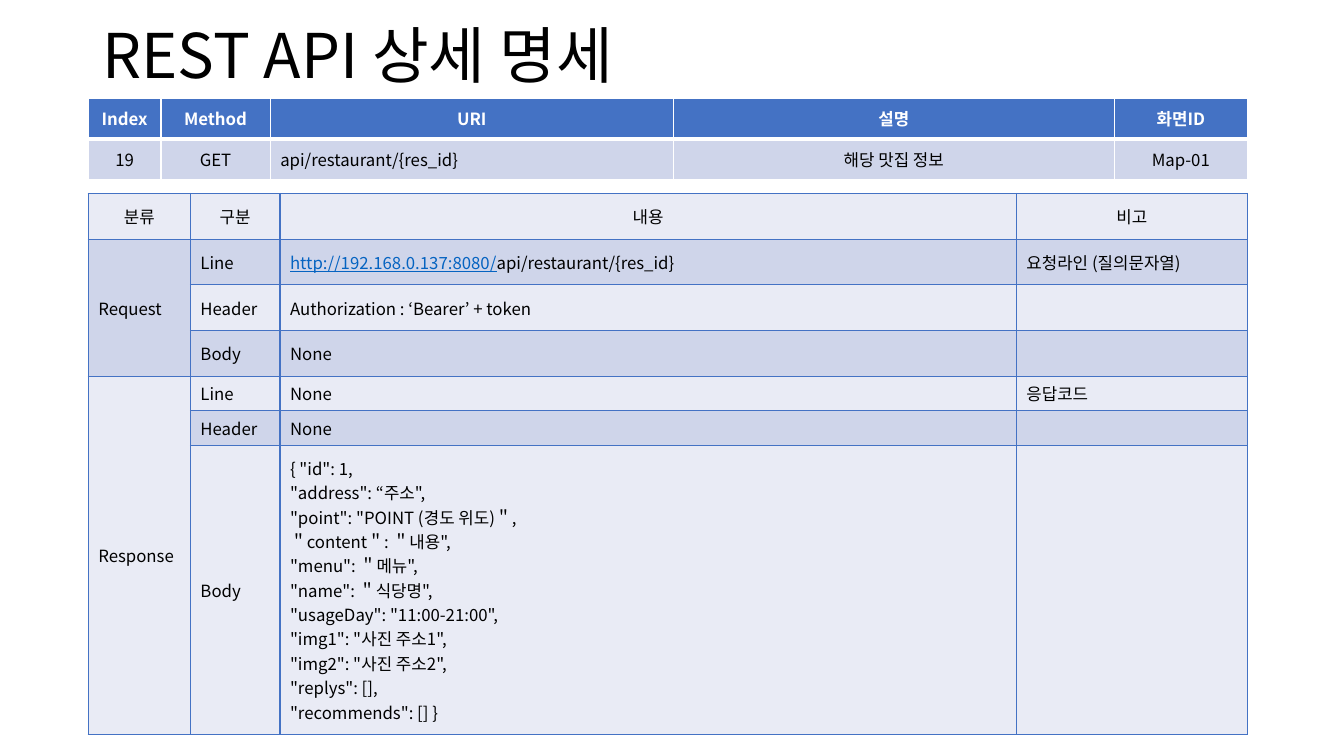
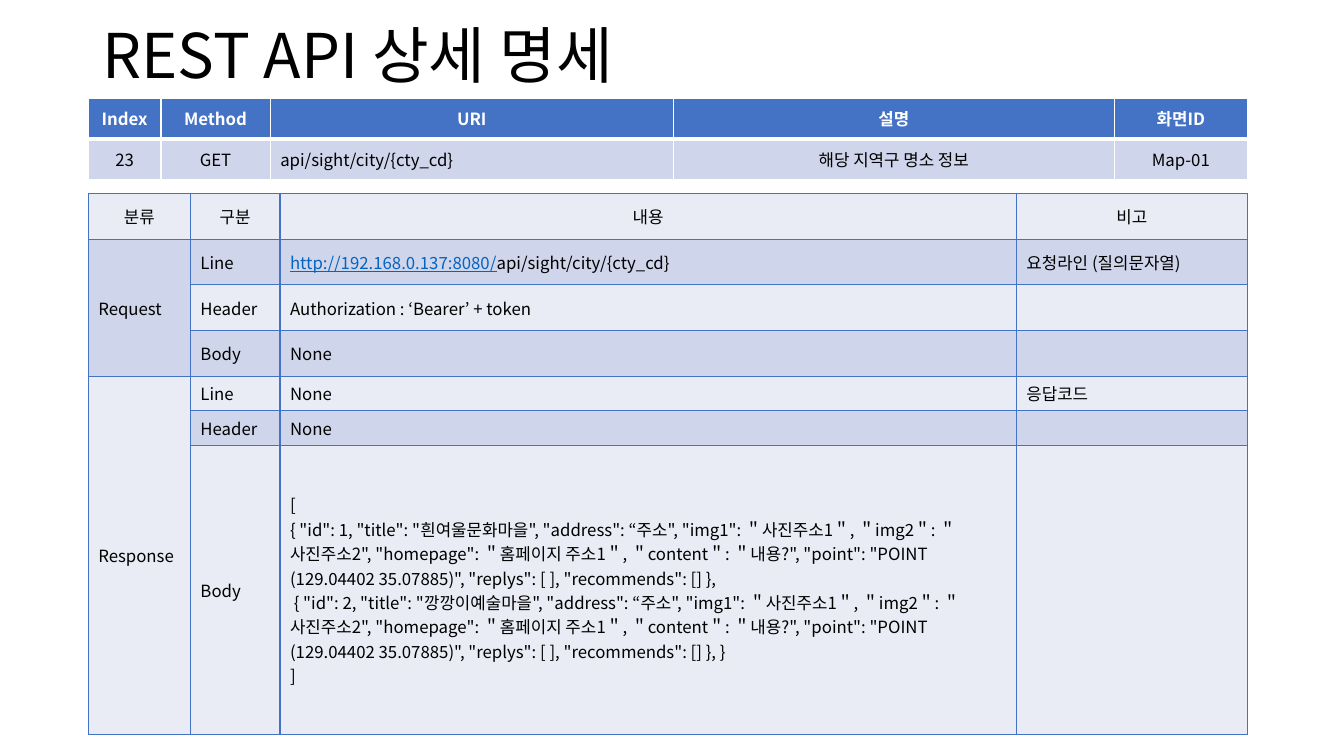
from dataclasses import dataclass

from lxml.etree import SubElement
from pptx import Presentation
from pptx.dml.color import RGBColor
from pptx.enum.text import MSO_ANCHOR, PP_ALIGN
from pptx.oxml.ns import qn
from pptx.util import Pt

FONT = "Noto Sans CJK KR"
BLACK, WHITE = "000000", "FFFFFF"
BLUE, BAND, PALE, LINK = "4472C4", "CFD5EA", "E9EBF5", "0563C1"
BODY_SIZE, TITLE_SIZE = 12, 44

TABLE_LEFT = 63
SUMMARY_TOP, DETAIL_TOP = 70, 138.1
SUMMARY_COLUMNS = (52, 78, 288, 315, 95)
SUMMARY_ROWS = (29.2, 29.2)
DETAIL_COLUMNS = (73, 64, 526, 165)
DETAIL_ROWS = (32.7,) * 4 + (24.6,) * 2 + (206.8,)

HOST = "http://192.168.0.137:8080/"
SUMMARY_HEADER = ("Index", "Method", "URI", "설명", "화면ID")
DETAIL_HEADER = ("분류", "구분", "내용", "비고")


@dataclass(frozen=True)
class Span:
    text: str
    color: str = BLACK
    bold: bool = False
    underline: bool = False


Lines = list[list[Span]]


@dataclass(frozen=True)
class Endpoint:
    index: str
    uri: str
    description: str
    response: tuple[str, ...]


@dataclass(frozen=True)
class Borders:
    color: str
    top: float = 1
    bottom: float = 1


def sight(number: int, title: str) -> str:
    return (
        f'{{ "id": {number}, "title": "{title}", "address": “주소", '
        '"img1": ＂사진주소1＂, ＂img2＂: ＂사진주소2", '
        '"homepage": ＂홈페이지 주소1＂, ＂content＂: ＂내용?", '
        '"point": "POINT (129.04402 35.07885)", "replys": [ ], "recommends": [] },'
    )


ENDPOINTS = (
    Endpoint("19", "api/restaurant/{res_id}", "해당 맛집 정보", (
        '{ "id": 1,',
        '"address": “주소",',
        '"point": "POINT (경도 위도)＂,',
        '＂content＂: ＂내용",',
        '"menu": ＂메뉴",',
        '"name": ＂식당명",',
        '"usageDay": "11:00-21:00",',
        '"img1": "사진 주소1",',
        '"img2": "사진 주소2",',
        '"replys": [],',
        '"recommends": [] }',
    )),
    Endpoint("23", "api/sight/city/{cty_cd}", "해당 지역구 명소 정보", (
        "[",
        sight(1, "흰여울문화마을"),
        " " + sight(2, "깡깡이예술마을") + " }",
        "]",
    )),
)


def rgb(color: str) -> RGBColor:
    return RGBColor.from_string(color)


def plain(*texts: str) -> Lines:
    return [[Span(text)] for text in texts]


def write_lines(frame, lines: Lines, size: float, align=PP_ALIGN.LEFT) -> None:
    for number, spans in enumerate(lines):
        para = frame.add_paragraph() if number else frame.paragraphs[0]
        para.alignment = align
        for span in spans:
            run = para.add_run()
            run.text = span.text
            formats = {"name": FONT, "size": Pt(size),
                       "bold": span.bold, "underline": span.underline}
            for name, value in formats.items():
                setattr(run.font, name, value)
            run.font.color.rgb = rgb(span.color)
            SubElement(run.font._element, qn("a:ea"), typeface=FONT)
        if not spans:
            SubElement(para._p, qn("a:endParaRPr"), sz=str(size * 100))


def add_borders(cell, borders: Borders) -> None:
    properties = cell._tc.get_or_add_tcPr()
    widths = {"lnL": 1, "lnR": 1, "lnT": borders.top, "lnB": borders.bottom}
    for tag, width in widths.items():
        line = SubElement(properties, qn(f"a:{tag}"), w=str(Pt(width)))
        fill = SubElement(line, qn("a:solidFill"))
        SubElement(fill, qn("a:srgbClr"), val=borders.color)


def fill_cell(cell, lines: Lines, color: str, borders: Borders, align) -> None:
    add_borders(cell, borders)
    cell.fill.solid()
    cell.fill.fore_color.rgb = rgb(color)
    cell.vertical_anchor = MSO_ANCHOR.MIDDLE
    write_lines(cell.text_frame, lines, BODY_SIZE, align)


def add_grid(slide, top: float, columns: tuple[float, ...], rows: tuple[float, ...]):
    """Add an unstyled table with the given column widths and row heights."""
    table = slide.shapes.add_table(
        len(rows), len(columns), Pt(TABLE_LEFT), Pt(top), Pt(sum(columns)), Pt(sum(rows))
    ).table
    table.first_row = table.horz_banding = False
    for column, width in zip(table.columns, columns):
        column.width = Pt(width)
    for row, height in zip(table.rows, rows):
        row.height = Pt(height)
    return table


def add_title(slide) -> None:
    box = slide.shapes.add_textbox(Pt(66), Pt(0), Pt(828), Pt(84))
    frame = box.text_frame
    frame.word_wrap = True
    frame.vertical_anchor = MSO_ANCHOR.MIDDLE
    write_lines(frame, plain("REST API 상세 명세"), TITLE_SIZE)
    frame.paragraphs[0].line_spacing = 0.9


def add_summary(slide, endpoint: Endpoint) -> None:
    table = add_grid(slide, SUMMARY_TOP, SUMMARY_COLUMNS, SUMMARY_ROWS)
    values = (endpoint.index, "GET", endpoint.uri, endpoint.description, "Map-01")
    for column, (heading, value) in enumerate(zip(SUMMARY_HEADER, values)):
        fill_cell(table.cell(0, column), [[Span(heading, WHITE, bold=True)]],
                  BLUE, Borders(WHITE, bottom=3), PP_ALIGN.CENTER)
        align = PP_ALIGN.LEFT if heading == "URI" else PP_ALIGN.CENTER
        fill_cell(table.cell(1, column), plain(value),
                  BAND, Borders(WHITE, top=3), align)


def add_detail(slide, endpoint: Endpoint) -> None:
    table = add_grid(slide, DETAIL_TOP, DETAIL_COLUMNS, DETAIL_ROWS)
    none, empty = plain("None"), [[]]
    address = [[Span(HOST, LINK, underline=True), Span(endpoint.uri)]]
    token = plain("Authorization : ‘Bearer’ + token")
    rows = (
        tuple(plain(heading) for heading in DETAIL_HEADER),
        (plain("Request"), plain("Line"), address, plain("요청라인 (질의문자열)")),
        (empty, plain("Header"), token, empty),
        (empty, plain("Body"), none, empty),
        (plain("Response"), plain("Line"), none, plain("응답코드")),
        (empty, plain("Header"), none, empty),
        (empty, plain("Body"), plain(*endpoint.response), empty),
    )
    for number, row in enumerate(rows):
        align = PP_ALIGN.LEFT if number else PP_ALIGN.CENTER
        for column, lines in enumerate(row):
            fill_cell(table.cell(number, column), lines,
                      BAND if number % 2 else PALE, Borders(BLUE), align)
    for first in (1, 4):
        table.cell(first, 0).merge(table.cell(first + 2, 0))


def main() -> None:
    deck = Presentation()
    deck.slide_width, deck.slide_height = Pt(960), Pt(540)
    for endpoint in ENDPOINTS:
        slide = deck.slides.add_slide(deck.slide_layouts[6])
        add_title(slide)
        add_summary(slide, endpoint)
        add_detail(slide, endpoint)
    deck.save("out.pptx")


if __name__ == "__main__":
    main()
